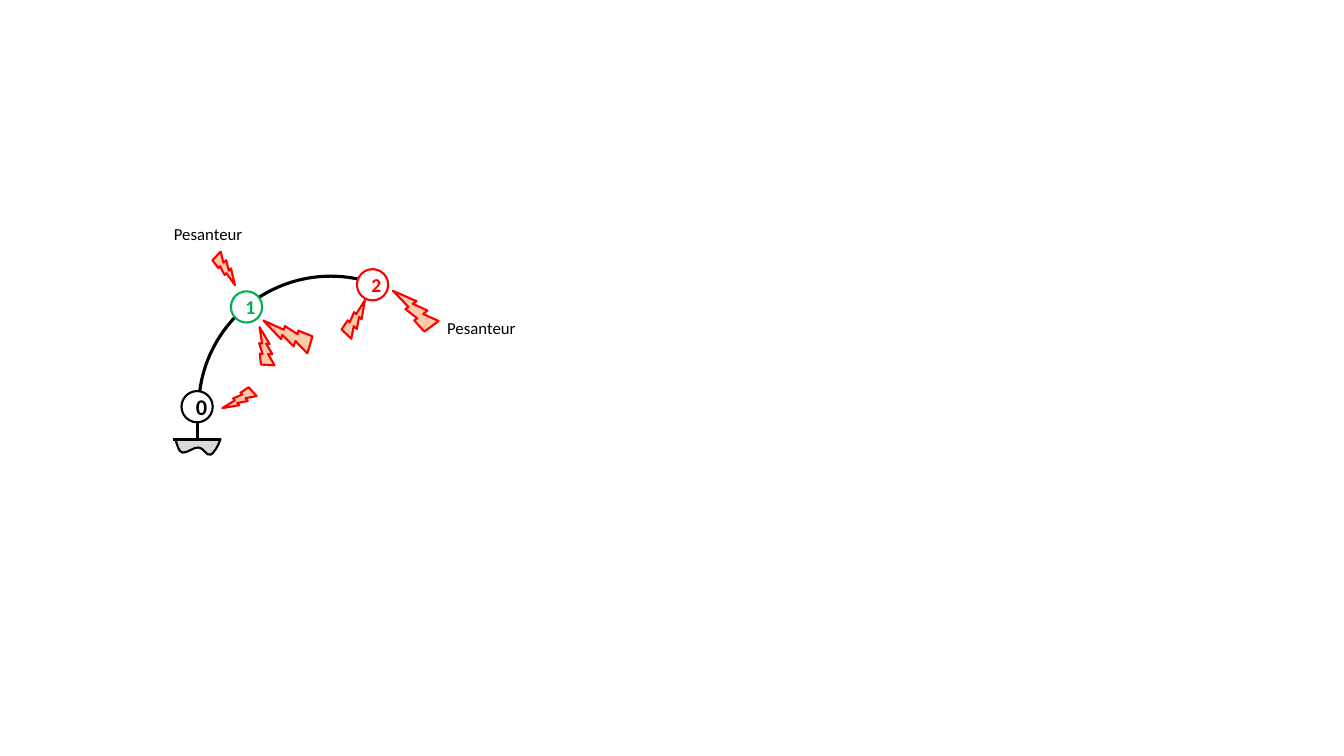
"""Slide of a three-node curved chain on the ground, with gravity and reaction bolts."""
from lxml.etree import SubElement
from pptx import Presentation
from pptx.dml.color import RGBColor
from pptx.enum.shapes import MSO_CONNECTOR, MSO_SHAPE
from pptx.enum.text import MSO_ANCHOR, PP_ALIGN
from pptx.oxml.ns import qn
from pptx.util import Inches, Pt

BLACK = RGBColor(0x00, 0x00, 0x00)
WHITE = RGBColor(0xFF, 0xFF, 0xFF)
RED = RGBColor(0xFF, 0x00, 0x00)
GREEN = RGBColor(0x00, 0xB0, 0x50)
GREY = RGBColor(0xD9, 0xD9, 0xD9)
PEACH = RGBColor(0xF8, 0xCB, 0xAD)
FONT = "Calibri"

CHAIN_BOX = (1.97, 2.74, 2.62, 2.62)
CHAIN_ANGLES = (185.38, 289.03)
NODE_SIZE = 0.31
NODES = [
    ("1", 2.29, 2.89, GREEN, 14),
    ("2", 3.54, 2.67, RED, 14),
    ("0", 1.80, 3.88, BLACK, 16),
]
GROUND_CURVE = [
    (1.74, 4.36),
    (1.76, 4.42), (1.77, 4.48), (1.81, 4.49),
    (1.85, 4.50), (1.93, 4.43), (1.97, 4.44),
    (2.02, 4.44), (2.05, 4.53), (2.09, 4.51),
    (2.12, 4.50), (2.16, 4.43), (2.19, 4.35),
]
SUPPORT_LINES = [(1.96, 4.20, 1.96, 4.35), (2.19, 4.36, 1.72, 4.36)]
BOLTS = [
    ((2.67, 3.11, 0.40, 0.45), 259.5, "flipV"),
    ((3.93, 2.85, 0.40, 0.45), 170.8, None),
    ((2.48, 3.30, 0.31, 0.32), 208.2, None),
    ((2.25, 3.82, 0.27, 0.29), 22.1, "flipH"),
    ((3.37, 3.02, 0.31, 0.32), 249, None),
    ((2.10, 2.51, 0.27, 0.29), 288.2, "flipH"),
]
LABELS = [("Pesanteur", 4.34, 3.15), ("Pesanteur", 1.63, 2.22)]
LABEL_SIZE = (0.87, 0.20)


def inches(values):
    return [Inches(value) for value in values]


def style(shape, fill, line, width):
    shape.shadow.inherit = False
    if fill is None:
        shape.fill.background()
    else:
        shape.fill.solid()
        shape.fill.fore_color.rgb = fill
    shape.line.color.rgb = line
    shape.line.width = Pt(width)


def write(frame, text, size, color, bold=False):
    frame.word_wrap = True
    paragraph = frame.paragraphs[0]
    paragraph.text = text
    paragraph.alignment = PP_ALIGN.CENTER
    font = paragraph.font
    font.name, font.size, font.bold = FONT, Pt(size), bold
    font.color.rgb = color


def add_ground(shapes):
    points = [inches(point) for point in GROUND_CURVE]
    builder = shapes.build_freeform(*points[0], scale=1.0)
    builder.add_line_segments(points[1:], close=False)
    ground = builder.convert_to_shape()
    outline = ground._element.spPr.find(".//" + qn("a:path"))
    segments = outline.findall(qn("a:lnTo"))
    for first in range(0, len(segments), 3):
        curve = SubElement(outline, qn("a:cubicBezTo"))
        for segment in segments[first:first + 3]:
            curve.append(segment[0])
            outline.remove(segment)
    style(ground, GREY, BLACK, 1.5)


def add_line(shapes, ends):
    line = shapes.add_connector(MSO_CONNECTOR.STRAIGHT, *inches(ends))
    line.line.color.rgb = BLACK
    line.line.width = Pt(2.25)
    SubElement(line._element.spPr, qn("a:effectLst"))


def add_node(shapes, text, left, top, color, size):
    node = shapes.add_shape(MSO_SHAPE.OVAL, *inches((left, top, NODE_SIZE, NODE_SIZE)))
    style(node, WHITE, color, 1.5)
    node.text_frame.vertical_anchor = MSO_ANCHOR.MIDDLE
    write(node.text_frame, text, size, color, bold=True)


def add_bolt(shapes, box, rotation, flip):
    bolt = shapes.add_shape(MSO_SHAPE.LIGHTNING_BOLT, *inches(box))
    style(bolt, PEACH, RED, 1.5)
    bolt.rotation = rotation
    if flip:
        bolt._element.spPr.find(qn("a:xfrm")).set(flip, "1")


def add_label(shapes, text, left, top):
    frame = shapes.add_textbox(*inches((left, top, *LABEL_SIZE))).text_frame
    frame.margin_left = frame.margin_right = frame.margin_top = frame.margin_bottom = 0
    write(frame, text, 12, BLACK)


def main():
    deck = Presentation()
    deck.slide_width, deck.slide_height = inches((13.33, 7.5))
    shapes = deck.slides.add_slide(deck.slide_layouts[6]).shapes

    chain = shapes.add_shape(MSO_SHAPE.ARC, *inches(CHAIN_BOX))
    for index, angle in enumerate(CHAIN_ANGLES):
        chain.adjustments[index] = angle * 60000 / 100000
    style(chain, None, BLACK, 2.25)

    support = shapes.add_group_shape().shapes
    add_ground(support)
    for ends in SUPPORT_LINES:
        add_line(support, ends)

    for node in NODES:
        add_node(shapes, *node)
    for bolt in BOLTS:
        add_bolt(shapes, *bolt)
    for label in LABELS:
        add_label(shapes, *label)
    deck.save("out.pptx")


if __name__ == "__main__":
    main()
